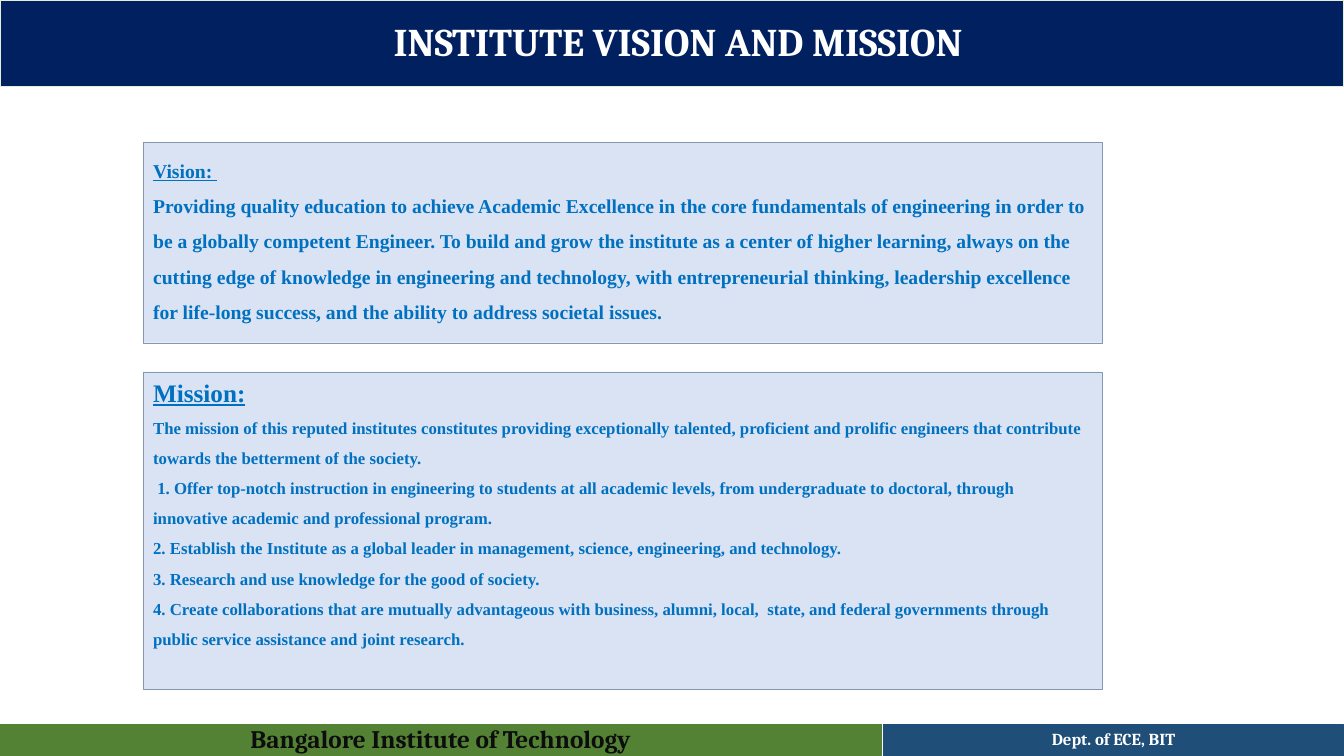
"""Build the institute vision and mission slide."""
from pptx import Presentation
from pptx.dml.color import RGBColor
from pptx.enum.shapes import MSO_SHAPE
from pptx.enum.text import MSO_ANCHOR, MSO_AUTO_SIZE, PP_ALIGN
from pptx.util import Inches, Pt

RECTANGLE = MSO_SHAPE.RECTANGLE
TOP, MIDDLE = MSO_ANCHOR.TOP, MSO_ANCHOR.MIDDLE
LEFT, CENTER = PP_ALIGN.LEFT, PP_ALIGN.CENTER
NO_AUTOFIT = MSO_AUTO_SIZE.NONE
SERIF, BODY_FONT = "Cambria", "Times New Roman"
PANEL_TEXT = "0070C0"


def color(value):
    return RGBColor.from_string(value)


def fill_box(box, fill, line, width, anchor, align, font, ink, lines):
    box.fill.solid()
    box.fill.fore_color.rgb = color(fill)
    box.line.color.rgb = color(line)
    box.line.width = Pt(width)
    frame = box.text_frame
    frame.text = "\n".join(text for text, *_ in lines)
    frame.word_wrap = True
    frame.auto_size = NO_AUTOFIT
    frame.vertical_anchor = anchor
    for paragraph, (_, size, spacing, underline) in zip(frame.paragraphs, lines):
        paragraph.alignment = align
        paragraph.line_spacing = spacing
        paragraph.font.name = font
        paragraph.font.size = Pt(size)
        paragraph.font.bold = True
        paragraph.font.underline = underline
        paragraph.font.color.rgb = color(ink)


presentation = Presentation()
presentation.slide_width = Inches(13.33)
presentation.slide_height = Inches(7.5)
slide = presentation.slides.add_slide(presentation.slide_layouts[5])

heading = slide.shapes.title
heading.left, heading.top = Inches(0), Inches(0)
heading.width, heading.height = Inches(13.33), Inches(0.86)
fill_box(heading, "002060", "E2F0D9", 0.75, MIDDLE, CENTER, SERIF, "FFFFFF",
         [("INSTITUTE VISION AND MISSION", 28, 0.9, False)])
heading.text_frame.margin_left = Inches(0.22)

footers = [
    (0, 8.74, "548235", "0D0D0D", "Bangalore Institute of Technology", 18),
    (8.76, 4.57, "1F4E79", "FFFFFF", "Dept. of ECE, BIT", 12),
]
for left, width, fill, ink, text, size in footers:
    footer = slide.shapes.add_shape(
        RECTANGLE, Inches(left), Inches(7.19), Inches(width), Inches(0.31))
    footer.shadow.inherit = False
    fill_box(footer, fill, fill, 0.75, MIDDLE, CENTER, SERIF, ink,
             [(text, size, 0.9, False)])

vision = [
    ("Vision: ", 14, 1.5, True),
    ("Providing quality education to achieve Academic Excellence in the core "
     "fundamentals of engineering in order to be a globally competent Engineer. "
     "To build and grow the institute as a center of higher learning, always on "
     "the cutting edge of knowledge in engineering and technology, with "
     "entrepreneurial thinking, leadership excellence for life-long success, "
     "and the ability to address societal issues.", 14, 1.5, False),
]
mission_statements = [
    "The mission of this reputed institutes constitutes providing exceptionally "
    "talented, proficient and prolific engineers that contribute towards the "
    "betterment of the society.",
    " 1. Offer top-notch instruction in engineering to students at all academic "
    "levels, from undergraduate to doctoral, through innovative academic and "
    "professional program.",
    "2. Establish the Institute as a global leader in management, science, "
    "engineering, and technology.",
    "3. Research and use knowledge for the good of society.",
    "4. Create collaborations that are mutually advantageous with business, "
    "alumni, local,  state, and federal governments through public service "
    "assistance and joint research.",
]
mission = [("Mission:", 18, 1.0, True)]
mission += [(statement, 12, 1.5, False) for statement in mission_statements]

for top, height, lines in [(1.41, 1.99, vision), (3.69, 3.15, mission)]:
    panel = slide.shapes.add_shape(
        RECTANGLE, Inches(1.42), Inches(top), Inches(9.51), Inches(height))
    panel.shadow.inherit = False
    fill_box(panel, "DAE3F3", "8497B0", 0.25, TOP, LEFT, BODY_FONT, PANEL_TEXT, lines)

presentation.save("out.pptx")
